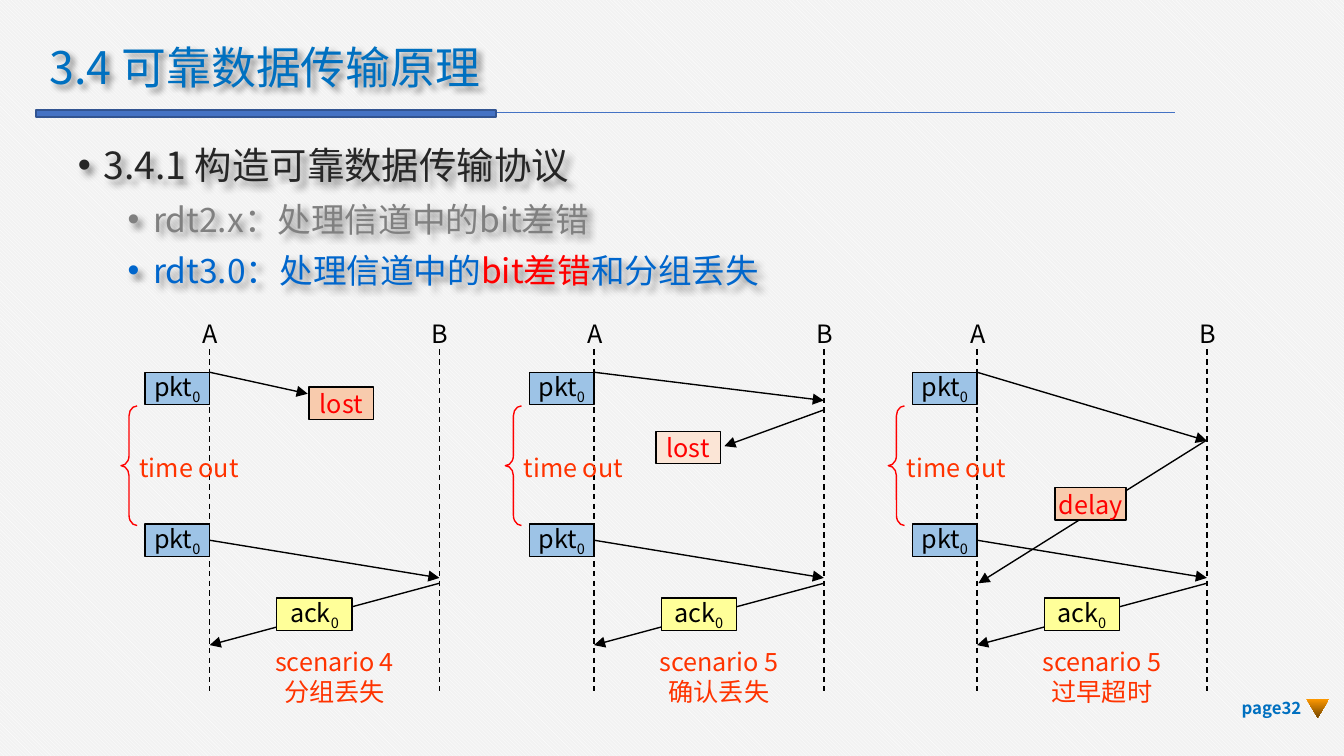
from lxml import etree
from pptx import Presentation
from pptx.dml.color import RGBColor
from pptx.enum.dml import MSO_LINE, MSO_PATTERN
from pptx.enum.shapes import MSO_CONNECTOR, MSO_SHAPE
from pptx.enum.text import MSO_ANCHOR, PP_ALIGN
from pptx.oxml import parse_xml
from pptx.oxml.ns import nsdecls, qn
from pptx.util import Inches, Pt

STRAIGHT = MSO_CONNECTOR.STRAIGHT
RECT, BRACE, MERGE = MSO_SHAPE.RECTANGLE, MSO_SHAPE.LEFT_BRACE, MSO_SHAPE.FLOWCHART_MERGE
TOP, MIDDLE = MSO_ANCHOR.TOP, MSO_ANCHOR.MIDDLE
LEFT, CENTER, RIGHT = PP_ALIGN.LEFT, PP_ALIGN.CENTER, PP_ALIGN.RIGHT
RIGHT_SIDE = 3

FONT = "Noto Sans CJK SC"
BLACK, WHITE = RGBColor(0, 0, 0), RGBColor(255, 255, 255)
PAPER = RGBColor(0xF2, 0xF2, 0xF2)
TITLE_BLUE, TEXT_BLUE = RGBColor(0x00, 0x70, 0xC0), RGBColor(0x00, 0x66, 0xCC)
BAR_BLUE, BAR_EDGE = RGBColor(0x44, 0x72, 0xC4), RGBColor(0x32, 0x54, 0x91)
DARK, GRAY = RGBColor(0x26, 0x26, 0x26), RGBColor(0x80, 0x80, 0x80)
RED, ORANGE_RED = RGBColor(255, 0, 0), RGBColor(0xFF, 0x33, 0x00)
PKT_BLUE, ACK_YELLOW = RGBColor(0x9D, 0xC3, 0xE6), RGBColor(0xFF, 0xFF, 0x99)
PEACH, PALE_PEACH = RGBColor(0xF8, 0xCB, 0xAD), RGBColor(0xFB, 0xE5, 0xD6)
AMBER, BROWN = RGBColor(0xFF, 0x99, 0x00), RGBColor(0x76, 0x47, 0x00)

# Content
TITLE = "3.4 可靠数据传输原理"
PAGE = "page32"
OUTLINE = [  # level, size, runs
    (0, 20, [("3.4.1 构造可靠数据传输协议", DARK)]),
    (1, 18, [("rdt2.x：处理信道中的bit差错", GRAY)]),
    (1, 18, [("rdt3.0：处理信道中的", TEXT_BLUE), ("bit差错", RED), ("和分组丢失", TEXT_BLUE)]),
]
# Places are inches from the sender's line; arrows are (x1, y1, x2, y2)
SCENARIOS = [
    {"sender": 1.56, "caption": ("scenario 4", "分组丢失"),
     "arrows": [(0, 2.77, 0.73, 2.93)],
     "event": ("lost", 0.74, 2.88, 0.48, PEACH)},
    {"sender": 4.42, "caption": ("scenario 5", "确认丢失"),
     "arrows": [(0, 2.77, 1.71, 2.98), (1.71, 3.05, 0.97, 3.32)],
     "event": ("lost", 0.46, 3.21, 0.48, PALE_PEACH)},
    {"sender": 7.27, "caption": ("scenario 5", "过早超时"),
     "arrows": [(0, 2.77, 1.71, 3.28), (1.7, 3.28, 0.01, 4.34)],
     "event": ("delay", 0.58, 3.63, 0.53, PEACH)},
]
CHANNEL = 1.71
PKT_TOPS, LABEL_HEIGHT = (2.77, 3.9), 0.24

prs = Presentation()
prs.slide_width, prs.slide_height = Inches(10), Inches(10) * 9 // 16
slide = prs.slides.add_slide(prs.slide_layouts[6])
backdrop = slide.background.fill
backdrop.patterned()
backdrop.pattern = MSO_PATTERN.DARK_DOWNWARD_DIAGONAL
backdrop.fore_color.rgb, backdrop.back_color.rgb = WHITE, PAPER


def add_run(paragraph, text, color, size=13.5, bold=False, baseline=None):
    run = paragraph.add_run()
    run.text = text
    run.font.size, run.font.name, run.font.bold = Pt(size), FONT, bold
    run.font.color.rgb = color
    props = run.font._element
    etree.SubElement(props, qn("a:ea")).set("typeface", FONT)
    if baseline:
        props.set("baseline", str(baseline))


def set_frame(shape, anchor=MIDDLE, wrap=False, insets=(0.1, 0.05)):
    frame = shape.text_frame
    frame.word_wrap, frame.vertical_anchor = wrap, anchor
    frame.margin_left = frame.margin_right = Inches(insets[0])
    frame.margin_top = frame.margin_bottom = Inches(insets[1])
    return frame


def add_text(box, text, color, align=LEFT, anchor=MIDDLE, wrap=False, **style):
    area = slide.shapes.add_textbox(*map(Inches, box))
    paragraph = set_frame(area, anchor, wrap).paragraphs[0]
    paragraph.alignment = align
    add_run(paragraph, text, color, **style)
    return area


def add_soft_shadow(area):
    area._element.spPr.append(parse_xml(
        f'<a:effectLst {nsdecls("a")}><a:outerShdw blurRad="38100" dist="38100" '
        'dir="2700000" algn="tl"><a:srgbClr val="000000"><a:alpha val="43000"/>'
        '</a:srgbClr></a:outerShdw></a:effectLst>'))


def add_shape(kind, box, fill=None, edge=BLACK, width=0.75):
    shape = slide.shapes.add_shape(kind, *map(Inches, box))
    shape.shadow.inherit = False
    if fill is None:
        shape.fill.background()
    else:
        shape.fill.solid()
        shape.fill.fore_color.rgb = fill
    shape.line.color.rgb, shape.line.width = edge, Pt(width)
    return shape


def add_label(x, y, width, fill, text, color=BLACK, subscript=None):
    label = add_shape(RECT, (x, y, width, LABEL_HEIGHT), fill)
    paragraph = set_frame(label, insets=(0, 0)).paragraphs[0]
    paragraph.alignment = CENTER
    add_run(paragraph, text, color)
    if subscript:
        add_run(paragraph, subscript, color, baseline=-25000)
    return label


def add_line(x1, y1, x2, y2, color=BLACK, width=0.75, dashed=False, arrow=False):
    line = slide.shapes.add_connector(STRAIGHT, *map(Inches, (x1, y1, x2, y2)))
    line.line.color.rgb, line.line.width = color, Pt(width)
    if dashed:
        line.line.dash_style = MSO_LINE.DASH
    if arrow:
        etree.SubElement(line.line._get_or_add_ln(), qn("a:tailEnd")).set("type", "triangle")
    etree.SubElement(line._element.spPr, qn("a:effectLst"))
    return line


# Title and rule
add_line(8.74, 0.84, 0.27, 0.84, BAR_BLUE, 0.5)
add_shape(RECT, (0.27, 0.82, 3.42, 0.05), BAR_BLUE, BAR_EDGE, 1)
heading = add_text((0.27, 0.3, 4.26, 0.44), TITLE, TITLE_BLUE, wrap=True, size=24)
heading.text_frame.paragraphs[0].line_spacing = 0.9
add_soft_shadow(heading)

# Outline
outline = slide.shapes.add_textbox(*map(Inches, (0.51, 1.02, 8.62, 1.38)))
add_soft_shadow(outline)
frame = set_frame(outline, TOP, True, (0.07, 0.04))
for index, (level, size, runs) in enumerate(OUTLINE):
    paragraph = frame.add_paragraph() if index else frame.paragraphs[0]
    paragraph.level = level
    props = paragraph._p.get_or_add_pPr()
    props.set("marL", str(Inches((0.19, 0.56)[level])))
    props.set("indent", str(Inches(-0.19)))
    if index:
        paragraph.space_before = Pt(6)
    etree.SubElement(props, qn("a:buFont")).set("typeface", "Arial")
    etree.SubElement(props, qn("a:buChar")).set("char", "•")
    for text, color in runs:
        add_run(paragraph, text, color, size)

# Sequence diagrams
for scenario in SCENARIOS:
    sender = scenario["sender"]
    receiver = sender + CHANNEL
    for host, x in (("A", sender), ("B", receiver)):
        add_line(x, 2.6, x, 5.14, dashed=True)
        add_text((x - 0.35, 2.36, 0.71, 0.24), host, BLACK, CENTER)
    for x1, y1, x2, y2 in scenario["arrows"]:
        add_line(sender + x1, y1, sender + x2, y2, arrow=True)
    first_pkt, resent_pkt = [
        add_label(sender - 0.48, y, 0.48, PKT_BLUE, "pkt", subscript="0") for y in PKT_TOPS]
    resend = add_line(sender, 4.02, receiver, 4.3, arrow=True)
    resend.begin_connect(resent_pkt, RIGHT_SIDE)
    brace = add_shape(BRACE, (sender - 0.66, 3.02, 0.12, 0.89), edge=RED)
    brace.adjustments[0] = 0.62
    add_text((sender - 0.62, 3.32, 0.97, 0.33), "time out", ORANGE_RED, anchor=TOP)
    add_line(receiver, 4.34, sender, 4.8, arrow=True)
    add_label(sender + 0.5, 4.45, 0.56, ACK_YELLOW, "ack", subscript="0")
    event, x, y, width, fill = scenario["event"]
    add_label(sender + x, y, width, fill, event, RED)
    name, meaning = scenario["caption"]
    caption = add_text((sender + 0.39, 4.76, 1.12, 0.56), name, ORANGE_RED, anchor=TOP)
    second_line = caption.text_frame.add_paragraph()
    second_line.alignment = CENTER
    add_run(second_line, meaning, ORANGE_RED)

# Page number and marker
add_text((9.09, 5.12, 0.69, 0.3), PAGE, TITLE_BLUE, RIGHT, wrap=True, size=9, bold=True)
marker = add_shape(MERGE, (9.72, 5.2, 0.17, 0.14))
marker.line.fill.background()
marker.fill.gradient()
marker.fill.gradient_angle = 270
for stop, color in zip(marker.fill.gradient_stops, (AMBER, BROWN)):
    stop.color.rgb = color

prs.save("out.pptx")
